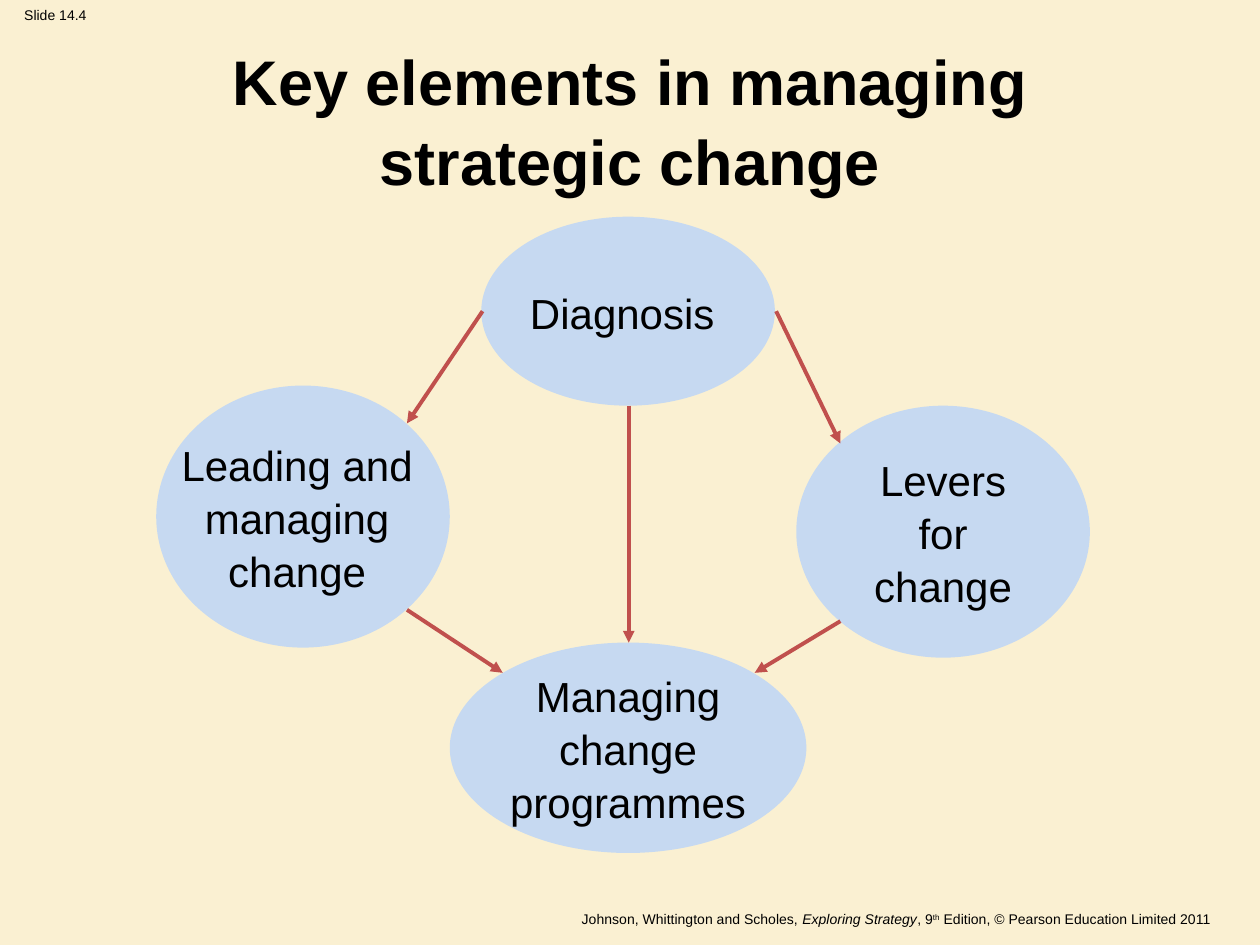
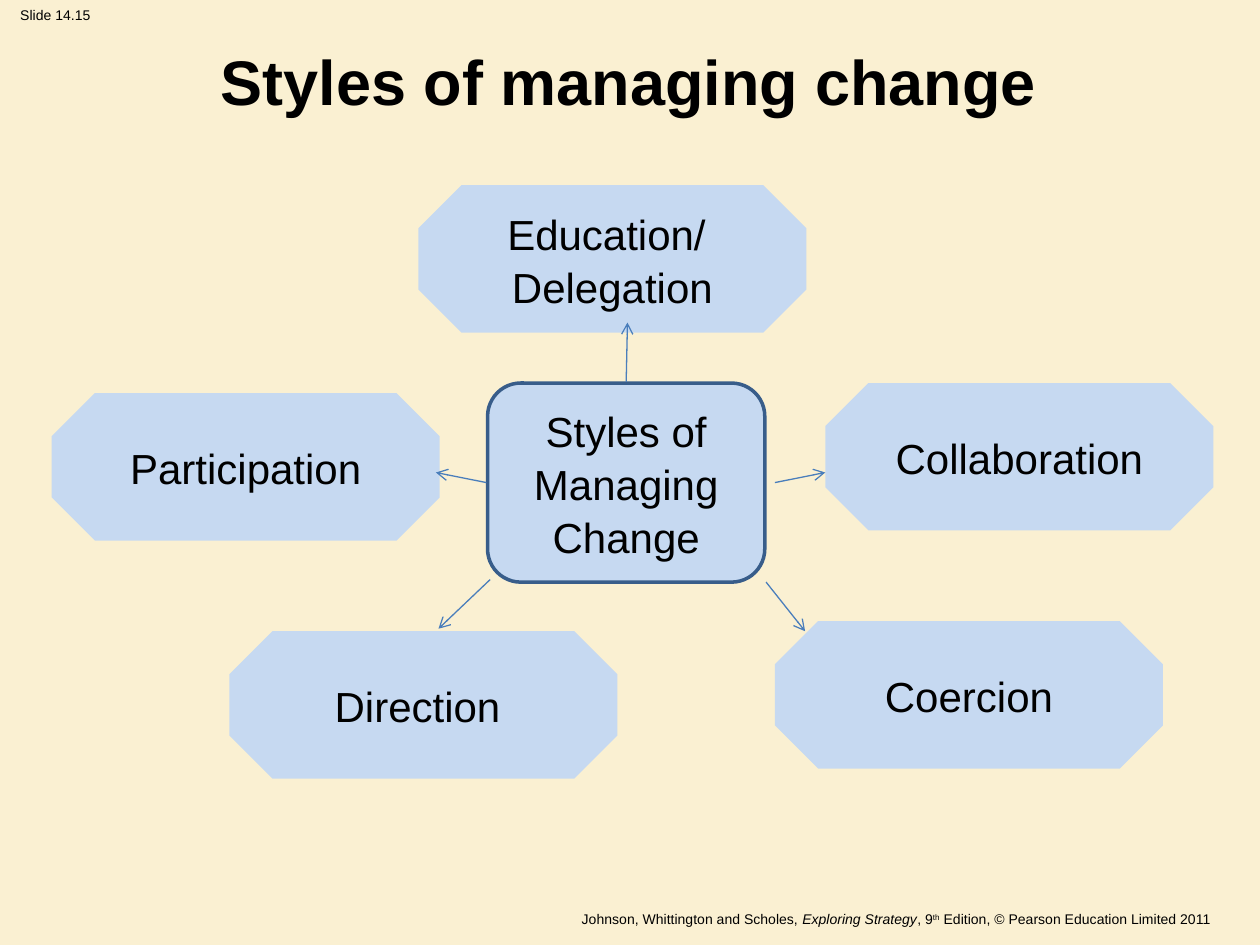
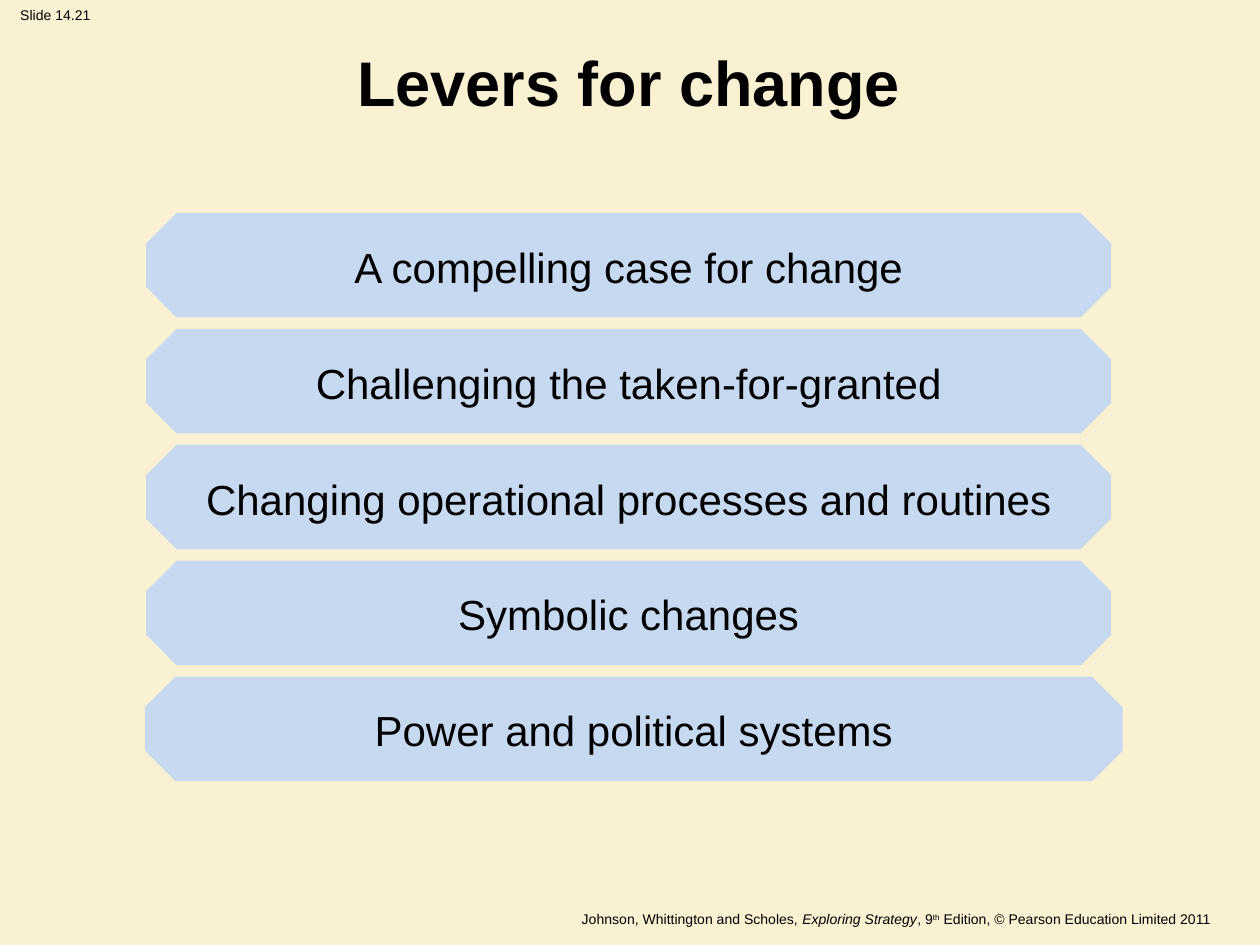
"""Build three slides on managing strategic change."""
import dataclasses

import lxml.etree
import pptx
import pptx.dml.color
import pptx.enum.shapes
import pptx.enum.text
import pptx.oxml.ns
import pptx.util

Inches = pptx.util.Inches
Shape = pptx.enum.shapes.MSO_SHAPE
Align = pptx.enum.text.PP_ALIGN
Anchor = pptx.enum.text.MSO_ANCHOR


@dataclasses.dataclass(frozen=True)
class Theme:
    """Colours, type sizes and line widths of the deck."""
    font: str = "Arial"
    paper: str = "FAF0D2"
    ink: str = "000000"
    panel: str = "C6D9F1"
    outline: str = "385D8A"
    flow: str = "C0504D"
    spoke: str = "4A7EBB"
    title_size: int = 36
    body_size: int = 24
    small_size: int = 8
    line_spacing: float = 1.05
    outline_width: float = 2
    flow_width: float = 2.25
    spoke_width: float = 0.75


THEME = Theme()


def colour(code):
    """Return the colour for a hexadecimal code."""
    return pptx.dml.color.RGBColor.from_string(code)


def style_para(para, size, align=Align.CENTER, bold=False):
    """Set the alignment and font of a paragraph."""
    para.alignment = align
    para.font.name = THEME.font
    para.font.size = pptx.util.Pt(size)
    para.font.bold = bold
    para.font.color.rgb = colour(THEME.ink)


def add_small_box(page, left, top, width, height, align, wrap):
    """Add a small text box and return its styled paragraph."""
    box = page.shapes.add_textbox(
        Inches(left), Inches(top), Inches(width), Inches(height))
    box.text_frame.word_wrap = wrap
    para = box.text_frame.paragraphs[0]
    style_para(para, THEME.small_size, align)
    return para


def add_page(deck, number, title, place):
    """Add a page with its number, footer and title."""
    page = deck.slides.add_slide(deck.slide_layouts[5])
    tag = add_small_box(page, 0, 0, 0.88, 0.24, Align.CENTER, False)
    tag.add_run().text = f"Slide {number}"
    add_footer(page)
    heading = page.shapes.title
    heading.left, heading.top, heading.width, heading.height = map(Inches, place)
    frame = heading.text_frame
    frame.text = title
    frame.auto_size = pptx.enum.text.MSO_AUTO_SIZE.NONE
    frame.vertical_anchor = Anchor.MIDDLE
    para = frame.paragraphs[0]
    style_para(para, THEME.title_size, bold=True)
    para.line_spacing = THEME.line_spacing
    return page


def add_footer(page):
    """Add the book's copyright line."""
    para = add_small_box(page, 0.26, 7.18, 9.45, 0.21, Align.RIGHT, True)
    spans = [para.add_run() for _ in range(5)]
    words = ("Johnson, Whittington and Scholes, ", "Exploring Strategy", ", 9",
             "th", " Edition, © Pearson Education Limited 2011")
    for span, text in zip(spans, words):
        span.text = text
    spans[1].font.italic = True
    spans[3].font._element.set("baseline", "30000")


def add_panel(page, kind, place, text, wrap=False):
    """Add a filled shape with centred text and return it."""
    panel = page.shapes.add_shape(kind, *map(Inches, place))
    panel.shadow.inherit = False
    panel.fill.solid()
    panel.fill.fore_color.rgb = colour(THEME.panel)
    panel.line.fill.background()
    frame = panel.text_frame
    frame.word_wrap = wrap
    frame.vertical_anchor = Anchor.MIDDLE
    frame.text = text
    for para in frame.paragraphs:
        style_para(para, THEME.body_size)
        para.line_spacing = THEME.line_spacing
    return panel


def add_arrow(page, start, end, shade, width, head):
    """Add a straight arrow from start to end."""
    arrow = page.shapes.add_connector(
        pptx.enum.shapes.MSO_CONNECTOR.STRAIGHT, *map(Inches, start + end))
    arrow.line.color.rgb = colour(shade)
    arrow.line.width = pptx.util.Pt(width)
    qn = pptx.oxml.ns.qn
    properties = arrow._element.spPr
    lxml.etree.SubElement(properties.find(qn("a:ln")), qn("a:tailEnd"), type=head)
    lxml.etree.SubElement(properties, qn("a:effectLst"))


def add_key_elements(deck):
    """Add the page on the elements of strategic change."""
    page = add_page(deck, "14.4", "Key elements in managing\vstrategic change",
                    (0.2, 0.29, 9.6, 1.3))
    elements = (
        ((3.82, 1.72, 2.33, 1.5), "Diagnosis "),
        ((1.24, 3.06, 2.33, 2.08), "Leading and \nmanaging \nchange "),
        ((6.32, 3.22, 2.33, 2), "Levers\nfor\nchange"),
        ((3.57, 5.1, 2.83, 1.67), "Managing\nchange\nprogrammes"),
    )
    for place, text in elements:
        add_panel(page, Shape.OVAL, place, text)
    flows = (
        ((3.83, 2.47), (3.23, 3.36)),
        ((6.16, 2.47), (6.67, 3.52)),
        ((3.23, 4.84), (3.99, 5.34)),
        ((6.67, 4.93), (5.99, 5.34)),
        ((4.99, 3.22), (4.99, 5.1)),
    )
    for start, end in flows:
        add_arrow(page, start, end, THEME.flow, THEME.flow_width, "triangle")


def add_styles(deck):
    """Add the page on the styles of managing change."""
    page = add_page(deck, "14.15", "Styles of managing change",
                    (0.49, 0.27, 9, 0.7))
    styles = (
        (3.32, 1.47, "Education/ \nDelegation"),
        (0.41, 3.12, "Participation"),
        (6.55, 3.04, "Collaboration"),
        (1.82, 5.01, "Direction "),
        (6.15, 4.93, "Coercion"),
    )
    for left, top, text in styles:
        add_panel(page, Shape.OCTAGON, (left, top, 3.08, 1.17), text)
    hub = add_panel(page, Shape.ROUNDED_RECTANGLE, (3.87, 3.04, 2.2, 1.58),
                    "Styles of Managing Change", wrap=True)
    hub.line.color.rgb = colour(THEME.outline)
    hub.line.width = pptx.util.Pt(THEME.outline_width)
    spokes = (
        ((6.15, 3.83), (6.55, 3.75)),
        ((6.08, 4.62), (6.39, 5.01)),
        ((3.86, 3.83), (3.46, 3.75)),
        ((3.89, 4.6), (3.48, 4.99)),
        ((4.97, 3.03), (4.98, 2.56)),
    )
    for start, end in spokes:
        add_arrow(page, start, end, THEME.spoke, THEME.spoke_width, "arrow")


def add_levers(deck):
    """Add the page that stacks the levers for change."""
    page = add_page(deck, "14.21", "Levers for change", (0.49, 0.28, 9, 0.7))
    levers = (
        (1.16, 7.66, "A compelling case for change"),
        (1.16, 7.66, "Challenging the taken-for-granted"),
        (1.16, 7.66, "Changing operational processes and routines"),
        (1.16, 7.66, "Symbolic changes"),
        (1.15, 7.76, "Power and political systems"),
    )
    first_top, pitch, height = 1.69, 0.92, 0.83
    for index, (left, width, text) in enumerate(levers):
        place = (left, first_top + index * pitch, width, height)
        add_panel(page, Shape.OCTAGON, place, text)


def main():
    """Build and save the deck."""
    deck = pptx.Presentation()
    deck.slide_width, deck.slide_height = Inches(10), Inches(7.5)
    paper = deck.slide_master.background.fill
    paper.solid()
    paper.fore_color.rgb = colour(THEME.paper)
    add_key_elements(deck)
    add_styles(deck)
    add_levers(deck)
    deck.save("out.pptx")


if __name__ == "__main__":
    main()
